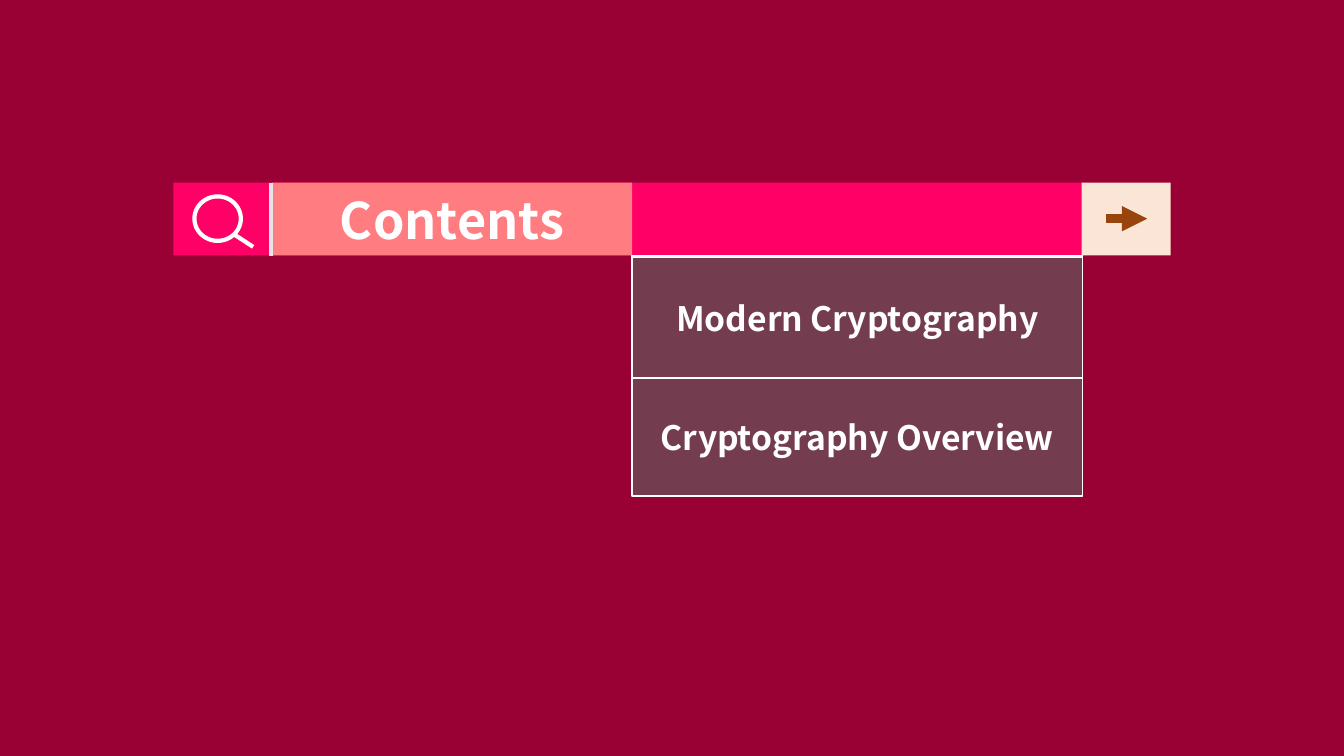
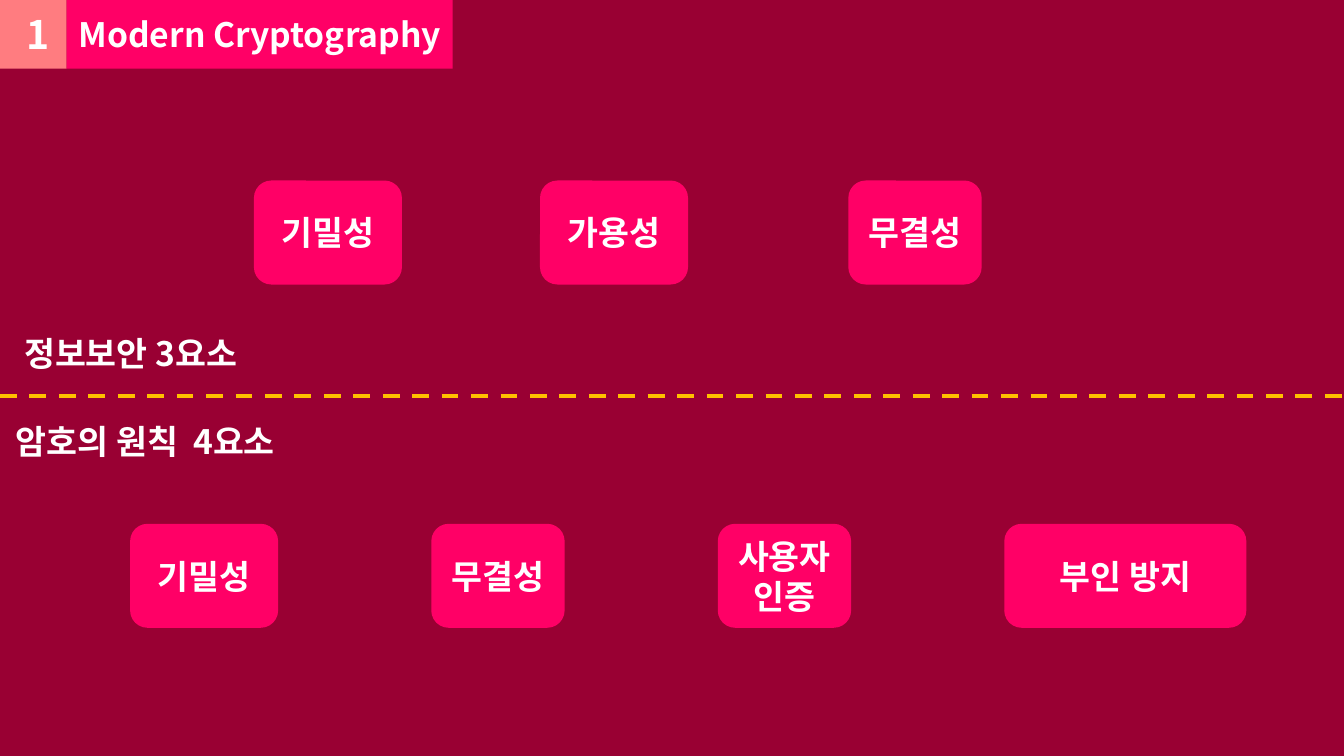
from dataclasses import dataclass

from lxml import etree
from pptx import Presentation
from pptx import util as u
from pptx.dml.color import RGBColor
from pptx.enum import dml, shapes, text
from pptx.oxml import ns


@dataclass(frozen=True)
class Theme:
    font: str = "Noto Sans CJK KR"
    background: str = "990033"
    accent: str = "FF0066"
    salmon: str = "FF7C80"
    cream: str = "FBE5D6"
    brown: str = "97450D"
    gold: str = "FFC000"
    divider: str = "E6E6E6"
    white: str = "FFFFFF"
    black: str = "000000"
    heading_size: int = 36
    number_size: int = 28
    body_size: int = 24


THEME = Theme()
WIDTH, HEIGHT = 33.87, 19.05
RECT = shapes.MSO_SHAPE.RECTANGLE
ROUNDED = shapes.MSO_SHAPE.ROUNDED_RECTANGLE
OVAL = shapes.MSO_SHAPE.OVAL
CENTER = text.PP_ALIGN.CENTER


def rgb(colour):
    return RGBColor.from_string(colour)


def add_xml(parent, tag, **attributes):
    return etree.SubElement(parent, ns.qn(tag), attributes)


def write(frame, words, size, align=None):
    """Fill a text frame with one bold white paragraph."""
    frame.word_wrap = True
    para = frame.paragraphs[0]
    para.text = words
    para.alignment = align
    font = para.font
    font.name, font.size, font.bold = THEME.font, u.Pt(size), True
    font.color.rgb = rgb(THEME.white)
    # Korean glyphs take their font from the East Asian slot
    add_xml(para._p.pPr.defRPr, "a:ea", typeface=THEME.font)


def add_box(slide, kind, place, fill=None, opacity=None, outline=None,
            words=None, size=THEME.body_size):
    """Draw a preset shape; place is left, top, width, height in cm."""
    box = slide.shapes.add_shape(kind, *map(u.Cm, place))
    box.shadow.inherit = False
    if fill:
        box.fill.solid()
        box.fill.fore_color.rgb = rgb(fill)
    else:
        box.fill.background()
    if opacity:
        colour = box.fill._xPr.find(ns.qn("a:solidFill"))[0]
        add_xml(colour, "a:alpha", val=str(opacity * 1000))
    if outline:
        box.line.color.rgb = rgb(THEME.white)
        box.line.width = u.Pt(outline)
    else:
        box.line.fill.background()
    if words:
        box.text_frame.vertical_anchor = text.MSO_ANCHOR.MIDDLE
        write(box.text_frame, words, size, CENTER)
    return box


def add_label(slide, place, words, size=THEME.body_size):
    label = slide.shapes.add_textbox(*map(u.Cm, place))
    write(label.text_frame, words, size)


def add_line(slide, ends, colour, width, dashed=False, arrow=False):
    """Draw a straight line; ends is x1, y1, x2, y2 in cm."""
    line = slide.shapes.add_connector(
        shapes.MSO_CONNECTOR.STRAIGHT, *map(u.Cm, ends))
    line.line.color.rgb = rgb(colour)
    line.line.width = u.Pt(width)
    if dashed:
        line.line.dash_style = dml.MSO_LINE.DASH
    properties = line._element.spPr
    if arrow:
        add_xml(properties.find(ns.qn("a:ln")), "a:tailEnd", type="triangle")
    add_xml(properties, "a:effectLst")


def add_chip_row(slide, left, top, gaps, chips):
    """Place rounded chips left to right; gaps follow all but the last."""
    for (words, width), gap in zip(chips, gaps + [0]):
        add_box(slide, ROUNDED, (left, top, width, 2.62), THEME.accent,
                words=words)
        left += width + gap


def add_section_header(slide, number, title):
    number_width, height = 1.68, 1.73
    add_box(slide, RECT, (0, 0, number_width, height), THEME.salmon)
    add_box(slide, RECT, (number_width, 0, 9.73, height), THEME.accent,
            words=title)
    add_label(slide, (0.41, 0.13, 0.86, 1.45), number, THEME.number_size)


def add_search_icon(slide):
    add_box(slide, OVAL, (4.9, 4.95, 1.17, 1.12), outline=3)
    add_line(slide, (5.92, 5.92, 6.38, 6.22), THEME.white, 3)


def build_contents(slide):
    top, height = 4.6, 1.84
    bottom = top + height
    menu_left, menu_width = 15.93, 11.35
    add_box(slide, RECT, (4.37, top, 23.01, height), THEME.accent)
    add_box(slide, RECT, (6.86, top, 9.07, height), THEME.salmon,
            words="Contents", size=THEME.heading_size)
    add_search_icon(slide)
    add_box(slide, RECT, (27.26, top, 2.24, height), THEME.cream)
    add_line(slide, (6.83, top, 6.83, bottom), THEME.divider, 2.25)
    add_line(slide, (27.86, 5.51, 28.91, 5.51), THEME.brown, 6, arrow=True)

    add_box(slide, RECT, (menu_left, bottom, menu_width, 6.05),
            THEME.white, opacity=40, outline=1)
    item_top = bottom + 0.04
    for title, item_height in (("Modern Cryptography", 3.05),
                               ("Cryptography Overview", 2.97)):
        add_box(slide, RECT, (menu_left, item_top, menu_width, item_height),
                THEME.black, opacity=40, outline=1, words=title)
        item_top += item_height


def build_principles(slide):
    wide, narrow = 3.73, 3.36
    add_section_header(slide, "1", "Modern Cryptography")
    add_line(slide, (0, 9.98, WIDTH, 9.98), THEME.gold, 3, dashed=True)
    add_chip_row(slide, 6.4, 4.55, [3.48, 4.04],
                 [("기밀성", wide), ("가용성", wide), ("무결성", narrow)])
    add_chip_row(slide, 3.28, 13.2, [3.86] * 3,
                 [("기밀성", wide), ("무결성", narrow),
                  ("사용자인증", narrow), ("부인 방지", 6.1)])
    add_label(slide, (0.36, 8.26, 7.29, 1.27), "정보보안 3요소")
    add_label(slide, (0.15, 10.49, 7.9, 1.27), "암호의 원칙  4요소")


def main():
    deck = Presentation()
    deck.slide_width, deck.slide_height = u.Cm(WIDTH), u.Cm(HEIGHT)
    backdrop = deck.slide_master.background.fill
    backdrop.solid()
    backdrop.fore_color.rgb = rgb(THEME.background)
    blank = deck.slide_layouts[6]
    for build in (build_contents, build_principles):
        build(deck.slides.add_slide(blank))
    deck.save("out.pptx")


if __name__ == "__main__":
    main()
